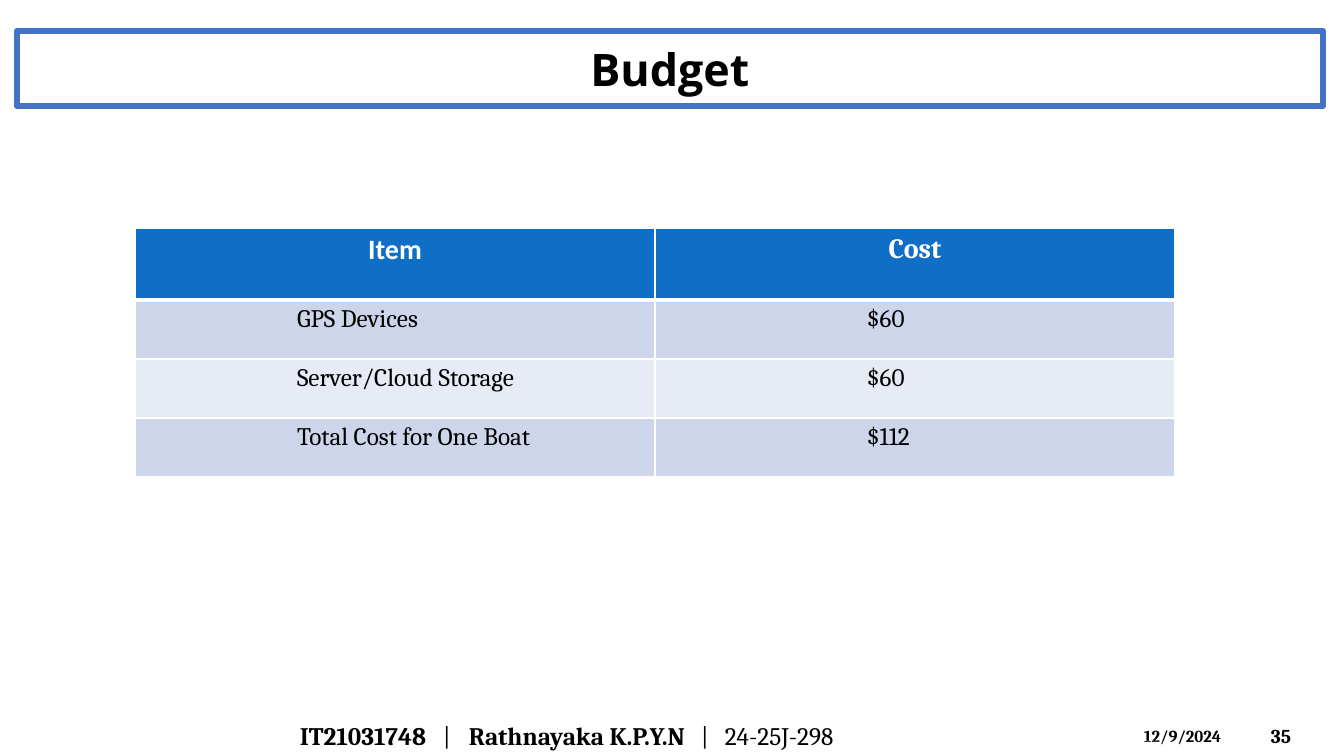
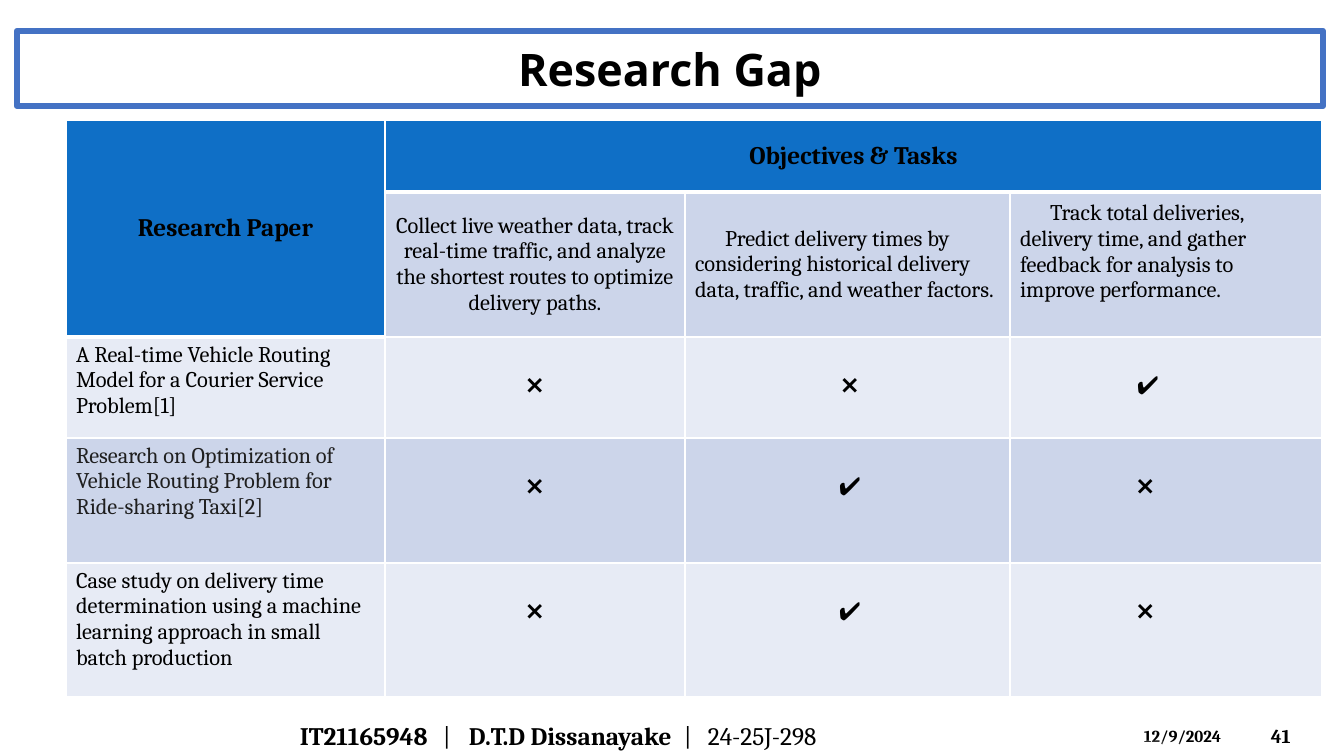
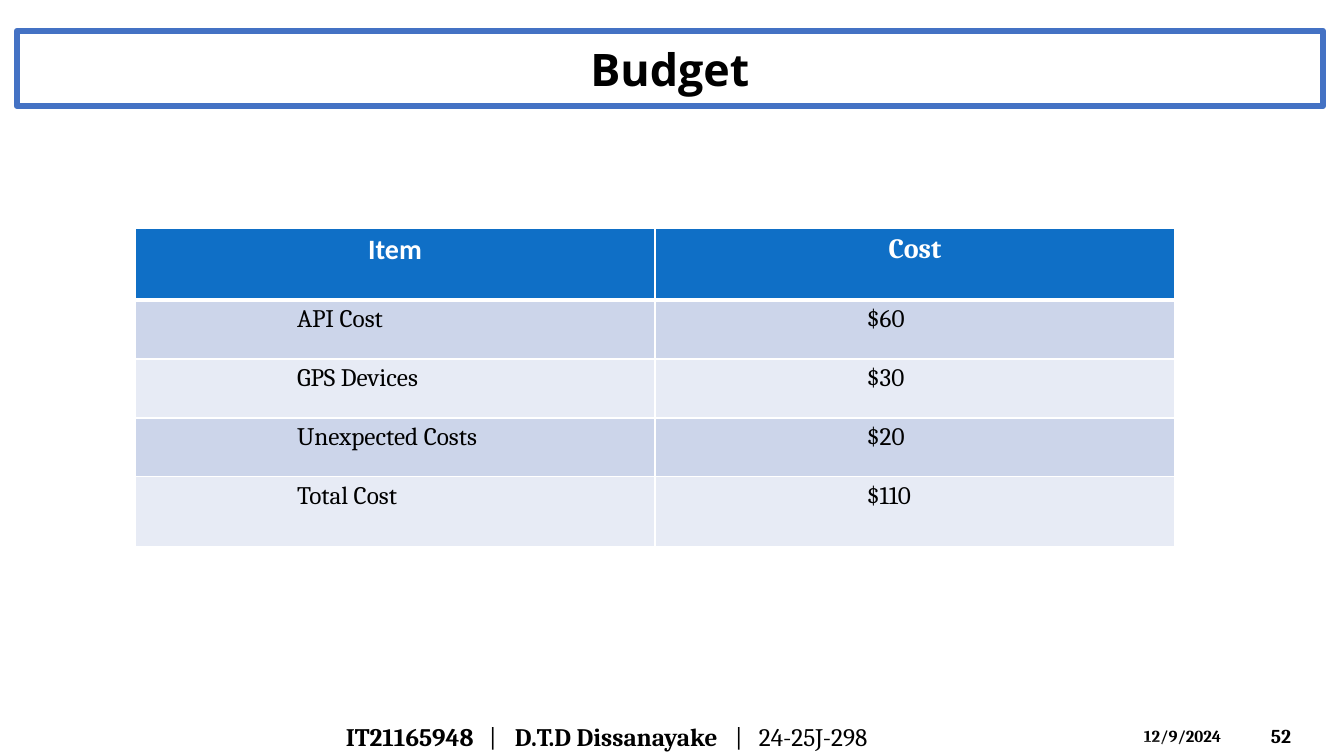
from lxml.etree import SubElement
from pptx import Presentation
from pptx.dml.color import RGBColor
from pptx.enum.shapes import MSO_SHAPE
from pptx.enum.text import MSO_ANCHOR, MSO_AUTO_SIZE, PP_ALIGN
from pptx.oxml.ns import qn
from pptx.util import Emu, Pt

# Shared look
SCALE = 914400 / 100.8
COLORS = {
    "frame": "4472C4",
    "header": "0F6FC6",
    "band_dark": "CCD5EA",
    "band_light": "E7EBF5",
    "white": "FFFFFF",
    "black": "000000",
    "charcoal": "1F1F1F",
}
TITLE_FONT = {"name": "Open Sans", "size": Pt(32), "bold": True}
FOOTER_FONT = {"name": "Cambria", "size": Pt(18), "bold": False}
DATE_FONT = {"name": "Cambria", "size": Pt(12), "bold": True}
NUMBER_FONT = {"name": "Cambria", "size": Pt(14), "bold": True}
ENTRY_FONT = {"name": "Cambria", "size": Pt(18), "bold": False}
TASK_FONT = {"name": "Cambria", "size": Pt(16), "bold": False}
HEADING_FONT = {"name": "Cambria", "size": Pt(18), "bold": True}

PROJECT = "24-25J-298"
DATE = "12/9/2024"
WIDTH, HEIGHT = 1344, 756
NAME_STOPS = [143, 169]
CODE_STEP = 24
NO, YES = "❌", "✔️"


def px(length):
    return Emu(round(length * SCALE))


def rgb(color):
    return RGBColor.from_string(COLORS[color])


def set_values(target, values):
    for name, value in values.items():
        setattr(target, name, value)


def add_text(paragraph, text, font, color="black"):
    run = paragraph.add_run()
    run.text = text
    set_values(run.font, font)
    run.font.color.rgb = rgb(color)


# Title, footer, date and number
def add_title(slide, text):
    title = slide.shapes.title
    set_values(title, {"left": px(17), "top": px(31),
                       "width": px(1306), "height": px(75)})
    title.line.color.rgb = rgb("frame")
    title.line.width = Pt(4.5)
    set_values(title.text_frame, {"word_wrap": True,
                                  "auto_size": MSO_AUTO_SIZE.NONE,
                                  "vertical_anchor": MSO_ANCHOR.MIDDLE})
    paragraph = title.text_frame.paragraphs[0]
    paragraph.alignment = PP_ALIGN.CENTER
    add_text(paragraph, text, TITLE_FONT)


def add_label(slide, left, top, width, height, anchor=MSO_ANCHOR.MIDDLE):
    frame = slide.shapes.add_textbox(
        px(left), px(top), px(width), px(height)).text_frame
    set_values(frame, {"word_wrap": True, "vertical_anchor": anchor})
    return frame.paragraphs[0]


def add_peak(slide, height, apex):
    """Lay a translucent white triangle along the bottom edge."""
    peak = slide.shapes.add_shape(
        MSO_SHAPE.ISOSCELES_TRIANGLE, 0, px(HEIGHT - height),
        px(WIDTH), px(height))
    peak.adjustments[0] = apex
    peak.shadow.inherit = False
    peak.line.fill.background()
    peak.fill.solid()
    peak.fill.fore_color.rgb = rgb("white")
    tint = peak.fill._xPr.find(qn("a:solidFill"))[0]
    SubElement(tint, qn("a:alpha"), val="20000")


def add_tab_stops(paragraph, stops):
    tab_list = SubElement(paragraph._p.get_or_add_pPr(), qn("a:tabLst"))
    for stop in stops:
        SubElement(tab_list, qn("a:tab"), pos=str(px(stop)), algn="l")


def add_footer(slide, student_id, student, second_bar, number,
               left=290, top=715):
    add_text(add_label(slide, 1261, 716, 75, 40), str(number), NUMBER_FONT)
    date = add_label(slide, 1134, 721, 118, 30, MSO_ANCHOR.TOP)
    add_text(date, DATE, DATE_FONT)
    for height, apex in [(41, 0.63), (20, 0.39)]:
        add_peak(slide, height, apex)

    author = add_label(slide, left, top, 751, 40)
    add_tab_stops(author, NAME_STOPS + [second_bar, second_bar + CODE_STEP])
    bold = {**FOOTER_FONT, "bold": True}
    add_text(author, student_id, bold)
    add_text(author, "\t|\t", FOOTER_FONT)
    add_text(author, student, bold)
    add_text(author, f"\t|\t{PROJECT}", FOOTER_FONT)


# Tables
def add_border(cell, side, width):
    line = SubElement(cell._tc.get_or_add_tcPr(), qn(f"a:ln{side}"),
                      w=str(Pt(width)))
    fill = SubElement(line, qn("a:solidFill"))
    SubElement(fill, qn("a:srgbClr"), val=COLORS["white"])


def style_cells(table, header_depths):
    """Fill the cells; a thick line closes the header of each column."""
    for row in range(len(table.rows)):
        for column, depth in enumerate(header_depths):
            cell = table.cell(row, column)
            edges = {"L": None, "R": None, "T": row,
                     "B": row + cell.span_height}
            for side, edge in edges.items():
                add_border(cell, side, 3 if edge == depth else 1)
            band = "band_dark" if row % 2 else "band_light"
            cell.fill.solid()
            cell.fill.fore_color.rgb = rgb("header" if row < depth else band)


def add_grid(slide, left, top, widths, heights):
    table = slide.shapes.add_table(
        len(heights), len(widths), px(left), px(top),
        px(sum(widths)), px(sum(heights))).table
    for column, width in zip(table.columns, widths):
        column.width = px(width)
    for row, height in zip(table.rows, heights):
        row.height = px(height)
    return table


def fill_cell(cell, text, font, color="black", align=PP_ALIGN.LEFT,
              anchor=MSO_ANCHOR.TOP, indent=0, **margins):
    cell.vertical_anchor = anchor
    set_values(cell, {f"margin_{side}": px(size)
                      for side, size in margins.items()})
    paragraph = cell.text_frame.paragraphs[0]
    paragraph.alignment = align
    if indent:
        paragraph._p.get_or_add_pPr().set("indent", str(px(indent)))
    add_text(paragraph, text, font, color)


def add_budget_table(slide, costs, last_height=59):
    heights = [72] + [59] * (len(costs) - 1) + [last_height]
    table = add_grid(slide, 135, 228, [520, 520], heights)
    style_cells(table, [1, 1])
    for column, (heading, font) in enumerate(
            [("Item", "Calibri"), ("Cost", "Cambria")]):
        fill_cell(table.cell(0, column), heading,
                  {"name": font, "size": Pt(20), "bold": True},
                  "white", PP_ALIGN.CENTER)
    for row, entry in enumerate(costs, 1):
        for column, (text, margin) in enumerate(zip(entry, [162, 212])):
            fill_cell(table.cell(row, column), text, ENTRY_FONT, left=margin)


def add_gap_table(slide, tasks, papers):
    table = add_grid(slide, 66, 120, [319, 300, 325, 312],
                     [72, 145, 101, 125, 134])
    paper_heading, task_heading = table.cell(0, 0), table.cell(0, 1)
    paper_heading.merge(table.cell(1, 0))
    task_heading.merge(table.cell(0, 3))
    style_cells(table, [2, 1, 1, 1])

    centred = {"align": PP_ALIGN.CENTER, "anchor": MSO_ANCHOR.MIDDLE}
    fill_cell(paper_heading, "Research Paper", HEADING_FONT, **centred)
    fill_cell(task_heading, "Objectives & Tasks", HEADING_FONT, **centred)

    task_layouts = [
        centred,
        {"anchor": MSO_ANCHOR.MIDDLE, "indent": 30},
        {"anchor": MSO_ANCHOR.MIDDLE, "indent": 30, "right": 20, "bottom": 30},
    ]
    for column, (task, layout) in enumerate(zip(tasks, task_layouts), 1):
        fill_cell(table.cell(1, column), task, TASK_FONT, **layout)

    mark_layouts = [
        {"align": PP_ALIGN.CENTER},
        {"align": PP_ALIGN.CENTER, "left": 15},
        {"left": 127},
    ]
    for row, (paper, color, marks) in enumerate(papers, 2):
        fill_cell(table.cell(row, 0), paper, TASK_FONT, color)
        for column, (mark, layout) in enumerate(zip(marks, mark_layouts), 1):
            fill_cell(table.cell(row, column), mark, ENTRY_FONT,
                      top=35, **layout)


def main():
    deck = Presentation()
    deck.slide_width, deck.slide_height = px(WIDTH), px(HEIGHT)
    title_only = deck.slide_layouts[5]

    # Budget for one boat
    boat_budget = deck.slides.add_slide(title_only)
    add_title(boat_budget, "Budget")
    add_budget_table(boat_budget, [
        ("GPS Devices", "$60"),
        ("Server/Cloud Storage", "$60"),
        ("Total Cost for One Boat", "$112"),
    ])
    add_footer(boat_budget, "IT21031748", "Rathnayaka K.P.Y.N", 401, 35)

    # Research gap
    research_gap = deck.slides.add_slide(title_only)
    add_title(research_gap, "Research Gap")
    add_gap_table(research_gap, [
        "Collect live weather data, track real-time traffic, and analyze "
        "the shortest routes to optimize delivery paths.",
        "Predict delivery times by considering historical delivery data, "
        "traffic, and weather factors.",
        "Track total deliveries, delivery time, and gather feedback for "
        "analysis to improve performance.",
    ], [
        ("A Real-time Vehicle Routing Model for a Courier Service Problem[1]",
         "black", [NO, NO, YES]),
        ("Research on Optimization of Vehicle Routing Problem for "
         "Ride-sharing Taxi[2]", "charcoal", [NO, YES, NO]),
        ("Case study on delivery time determination using a machine "
         "learning approach in small batch production",
         "black", [NO, YES, NO]),
    ])
    add_footer(research_gap, "IT21165948", "D.T.D Dissanayake", 384, 41)

    # Delivery budget
    delivery_budget = deck.slides.add_slide(title_only)
    add_title(delivery_budget, "Budget")
    add_budget_table(delivery_budget, [
        ("API Cost", "$60"),
        ("GPS Devices", "$30"),
        ("Unexpected Costs", "$20"),
        ("Total Cost", "$110"),
    ], last_height=70)
    add_footer(delivery_budget, "IT21165948", "D.T.D Dissanayake", 389, 52,
               left=336, top=716)

    deck.save("out.pptx")


if __name__ == "__main__":
    main()
